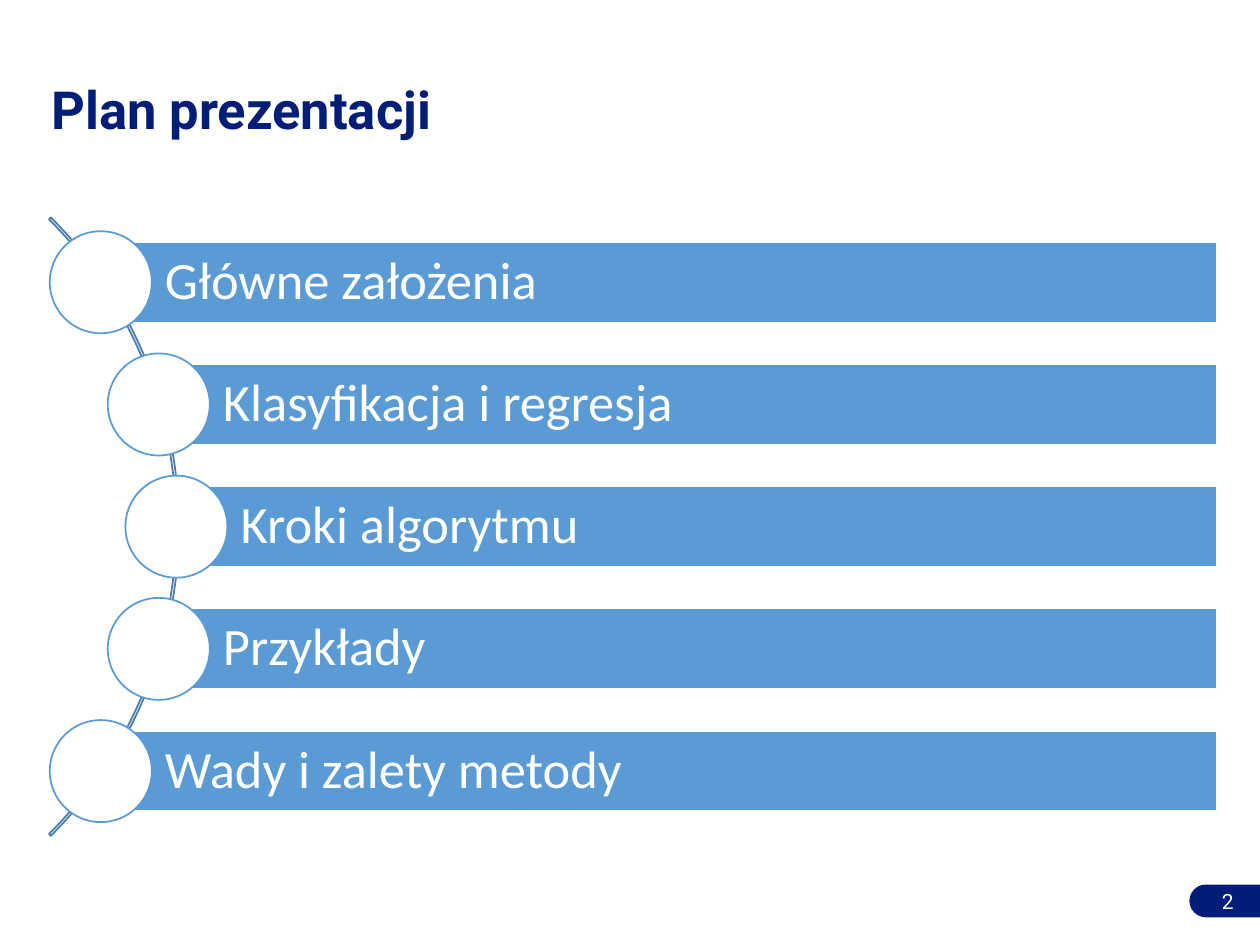
from pptx import Presentation
from pptx.dml.color import RGBColor
from pptx.enum.shapes import MSO_SHAPE
from pptx.enum.text import MSO_ANCHOR, PP_ALIGN
from pptx.util import Inches, Pt

RECT, OVAL = MSO_SHAPE.RECTANGLE, MSO_SHAPE.OVAL
ARC, TAB = MSO_SHAPE.BLOCK_ARC, MSO_SHAPE.ROUND_2_SAME_RECTANGLE
LEFT, RIGHT = PP_ALIGN.LEFT, PP_ALIGN.RIGHT
MIDDLE = MSO_ANCHOR.MIDDLE

# Content
TITLE = "Plan prezentacji"
NUMBER = "2"
ITEMS = [  # label, left edge of the bar
    ("Główne założenia", 0.8),
    ("Klasyfikacja i regresja", 1.26),
    ("Kroki algorytmu", 1.4),
    ("Przykłady", 1.26),
    ("Wady i zalety metody", 0.8),
]
COLORS = {"navy": "001D77", "blue": "5B9BD5", "arc": "497CAB", "white": "FFFFFF"}

# Layout in inches
FIRST, STEP = 2.24, 0.97  # centre of the first bar, distance between bars
END, TALL, DOT = 9.66, 0.64, 0.81

prs = Presentation()
prs.slide_width, prs.slide_height = Inches(10), Inches(7.5)
slide = prs.slides.add_slide(prs.slide_layouts[6])


def color(name):
    return RGBColor.from_string(COLORS[name])


def draw(kind, x, y, w, h, fill=None, line=None):
    shape = slide.shapes.add_shape(kind, Inches(x), Inches(y), Inches(w), Inches(h))
    shape.shadow.inherit = False
    if fill:
        shape.fill.solid()
        shape.fill.fore_color.rgb = color(fill)
    else:
        shape.fill.background()
    if line:
        shape.line.color.rgb = color(line)
        shape.line.width = Pt(1)
    else:
        shape.line.fill.background()
    return shape


def write(shape, text, size, font, tint, align=LEFT, bold=False, space=1.0):
    frame = shape.text_frame
    frame.text = text
    frame.word_wrap = True
    frame.vertical_anchor = MIDDLE
    par = frame.paragraphs[0]
    par.alignment = align
    par.line_spacing = space
    face = par.runs[0].font
    face.name, face.size, face.bold = font, Pt(size), bold
    face.color.rgb = color(tint)
    return frame


def label(x, y, w, h, *args, **style):
    box = slide.shapes.add_textbox(Inches(x), Inches(y), Inches(w), Inches(h))
    write(box, *args, **style)


# Page tab, a tall shape turned on its side
tab = draw(TAB, 9.59, 6.87, 0.26, 0.56, "navy")
tab.adjustments[0], tab.adjustments[1] = 0.5, 0
tab.rotation = 270

# Title
label(0.31, 0.4, 9.42, 0.98, TITLE, 30, "Roboto", "navy", bold=True, space=0.9)

# Arc behind the dots, from 315 to 45 degrees
arc = draw(ARC, -5.52, 0.71, 6.94, 6.94, line="arc")
for i, value in enumerate((189, 27, 0.003)):
    arc.adjustments[i] = value

# Bars, each with a dot centred on its left edge
for i, (text, x) in enumerate(ITEMS):
    mid = FIRST + i * STEP
    bar = draw(RECT, x, mid - TALL / 2, END - x, TALL, "blue", "white")
    frame = write(bar, text, 30, "Calibri", "white", space=0.9)
    frame.margin_left = Inches(0.51)
    frame.margin_right = frame.margin_top = frame.margin_bottom = Inches(0.08)
    draw(OVAL, x - DOT / 2, mid - DOT / 2, DOT, DOT, "white", "blue")

# Page number
label(7.06, 6.95, 2.83, 0.4, NUMBER, 12, "Roboto", "white", align=RIGHT)

prs.save("out.pptx")
